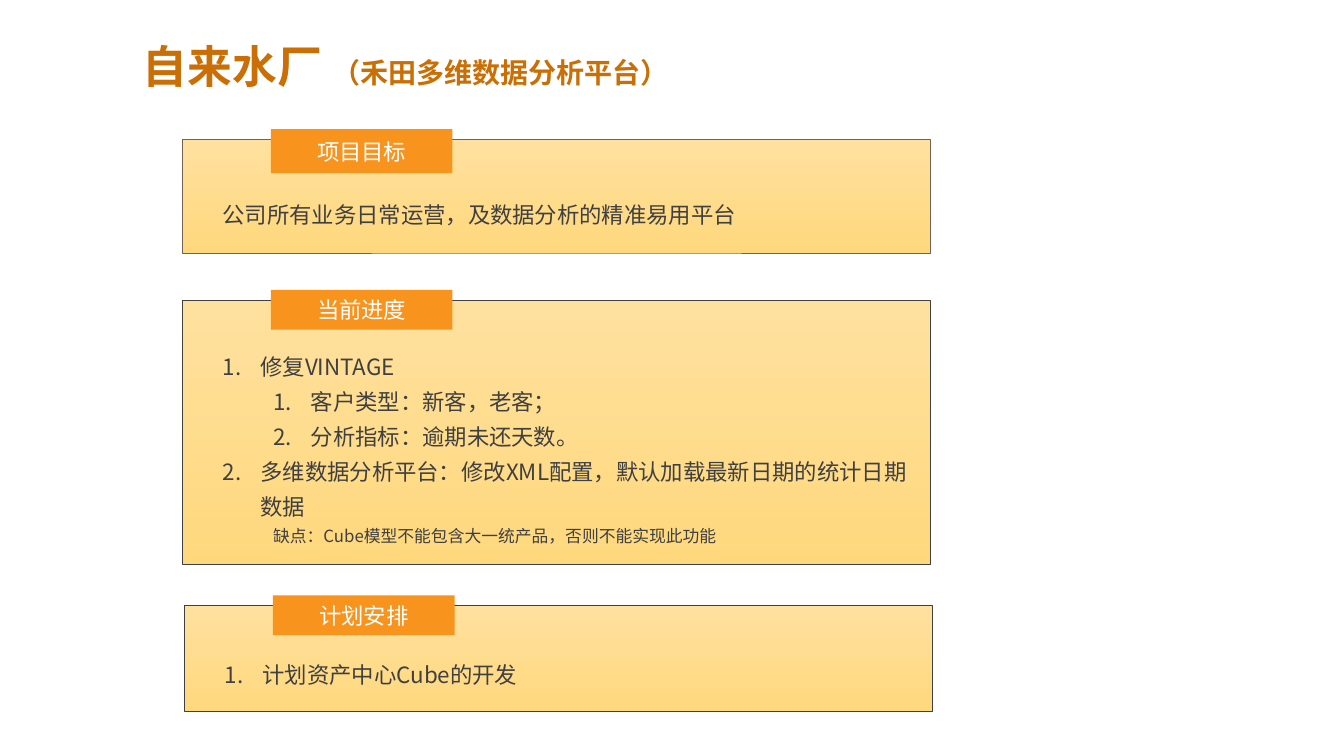
from lxml import etree
from pptx import Presentation
from pptx.dml.color import RGBColor
from pptx.enum.shapes import MSO_SHAPE
from pptx.enum.text import MSO_ANCHOR, MSO_AUTO_SIZE, PP_ALIGN
from pptx.oxml.ns import qn
from pptx.util import Pt

EMU_PER_PX = 9525
RECTANGLE = MSO_SHAPE.RECTANGLE
LEFT, CENTER = PP_ALIGN.LEFT, PP_ALIGN.CENTER
TOP, MIDDLE = MSO_ANCHOR.TOP, MSO_ANCHOR.MIDDLE
TWO_CONTENT_LAYOUT = 3

TITLE_BROWN = RGBColor(0xCA, 0x6F, 0x06)
TAB_ORANGE = RGBColor(0xF8, 0x93, 0x1D)
PANEL_LIGHT = RGBColor(0xFF, 0xE1, 0x9F)
PANEL_DARK = RGBColor(0xFF, 0xD8, 0x7D)
BORDER_BROWN = RGBColor(0x74, 0x62, 0x56)
DARK_GRAY = RGBColor(0x40, 0x40, 0x40)
WHITE = RGBColor(0xFF, 0xFF, 0xFF)

TITLE_FONT = "Montserrat"
BODY_FONT = "Noto Sans CJK SC"
PANEL_WIDTH = 712
TAB_WIDTH = 173
TAB_OFFSET = 84
TAB_RISE = 10
TEXT_OFFSET = 30

# (text, level, size, left margin, hanging indent, numbered)
GOAL = [("公司所有业务日常运营，及数据分析的精准易用平台", 0, 16, 0, 0, False)]
PROGRESS = [
    ("修复VINTAGE", 0, 16, 36, 36, True),
    ("客户类型：新客，老客；", 1, 16, 84, 36, True),
    ("分析指标：逾期未还天数。", 1, 16, 84, 36, True),
    ("多维数据分析平台：修改XML配置，默认加载最新日期的统计日期数据", 0, 16, 36, 36, True),
    ("缺点：Cube模型不能包含大一统产品，否则不能实现此功能", 1, 12, 48, 0, False),
]
PLAN = [("计划资产中心Cube的开发", 0, 16, 36, 36, True)]


def px(length):
    return length * EMU_PER_PX


def apply_format(target, values):
    for name, value in values.items():
        setattr(target, name, value)


def place(shape, left, top, width, height):
    apply_format(shape, {"left": px(left), "top": px(top),
                         "width": px(width), "height": px(height)})


def add_run(paragraph, text, size, color, font_name=BODY_FONT, bold=False):
    run = paragraph.add_run()
    run.text = text
    apply_format(run.font, {"size": Pt(size), "name": font_name, "bold": bold})
    run.font.color.rgb = color
    east_asian = etree.SubElement(run.font._element, qn("a:ea"))
    east_asian.set("typeface", BODY_FONT)


def format_frame(text_frame, anchor):
    apply_format(text_frame, {
        "word_wrap": True, "auto_size": MSO_AUTO_SIZE.NONE, "vertical_anchor": anchor,
        "margin_left": px(8), "margin_right": px(8),
        "margin_top": px(4), "margin_bottom": px(4)})


def set_indent(paragraph, margin, hanging, numbered):
    properties = paragraph._p.get_or_add_pPr()
    properties.set("marL", str(px(margin)))
    properties.set("indent", str(px(-hanging)))
    if numbered:
        bullet = etree.SubElement(properties, qn("a:buAutoNum"))
        bullet.set("type", "arabicPeriod")
    else:
        etree.SubElement(properties, qn("a:buNone"))


def write_title(title):
    place(title, 88, 40, 804, 51)
    format_frame(title.text_frame, MIDDLE)
    paragraph = title.text_frame.paragraphs[0]
    apply_format(paragraph, {"alignment": LEFT, "line_spacing": 0.9})
    set_indent(paragraph, 40, 0, False)
    add_run(paragraph, "自来水厂 ", 32, TITLE_BROWN, TITLE_FONT, True)
    add_run(paragraph, "（禾田多维数据分析平台）", 20, TITLE_BROWN, TITLE_FONT, True)


def add_rectangle(slide, left, top, width, height):
    shape = slide.shapes.add_shape(
        RECTANGLE, px(left), px(top), px(width), px(height))
    shape.shadow.inherit = False
    return shape


def add_panel(slide, left, top, height, border):
    panel = add_rectangle(slide, left, top, PANEL_WIDTH, height)
    panel.fill.gradient()
    panel.fill.gradient_angle = 270
    for stop, color in zip(panel.fill.gradient_stops, (PANEL_LIGHT, PANEL_DARK)):
        stop.color.rgb = color
    panel.line.color.rgb = border
    panel.line.width = Pt(0.5)


def add_tab(slide, left, top, height, label):
    tab = add_rectangle(slide, left, top, TAB_WIDTH, height)
    tab.fill.solid()
    tab.fill.fore_color.rgb = TAB_ORANGE
    tab.line.fill.background()
    format_frame(tab.text_frame, MIDDLE)
    paragraph = tab.text_frame.paragraphs[0]
    paragraph.alignment = CENTER
    add_run(paragraph, label, 16, WHITE)


def write_items(shape, items):
    text_frame = shape.text_frame
    format_frame(text_frame, TOP)
    for index, (text, level, size, margin, hanging, numbered) in enumerate(items):
        paragraph = text_frame.add_paragraph() if index else text_frame.paragraphs[0]
        apply_format(paragraph, {"level": level, "alignment": LEFT, "line_spacing": 1.3,
                                 "space_before": Pt(0), "space_after": Pt(0)})
        set_indent(paragraph, margin, hanging, numbered)
        add_run(paragraph, text, size, DARK_GRAY)


def add_section(slide, body, label, items, left, top, height, tab_height, text_box, border):
    """Draw a panel with its tab, then bring the body text in front of it."""
    add_panel(slide, left, top, height, border)
    add_tab(slide, left + TAB_OFFSET, top - TAB_RISE, tab_height, label)
    text_top, text_width, text_height = text_box
    place(body, left + TEXT_OFFSET, text_top, text_width, text_height)
    write_items(body, items)
    slide.shapes._spTree.append(body._element)


def main():
    presentation = Presentation()
    presentation.slide_width = px(1280)
    presentation.slide_height = px(720)
    slide = presentation.slides.add_slide(presentation.slide_layouts[TWO_CONTENT_LAYOUT])
    write_title(slide.shapes.title)
    goal_body = slide.shapes.add_textbox(0, 0, 0, 0)
    progress_body, plan_body = slide.placeholders[1], slide.placeholders[2]
    add_section(slide, goal_body, "项目目标", GOAL, 174, 133, 108, 42,
                (180, 633, 41), BORDER_BROWN)
    add_section(slide, progress_body, "当前进度", PROGRESS, 174, 286, 252, 38,
                (325, 684, 201), DARK_GRAY)
    add_section(slide, plan_body, "计划安排", PLAN, 176, 577, 101, 38,
                (618, 679, 37), DARK_GRAY)
    presentation.save("out.pptx")


if __name__ == "__main__":
    main()
